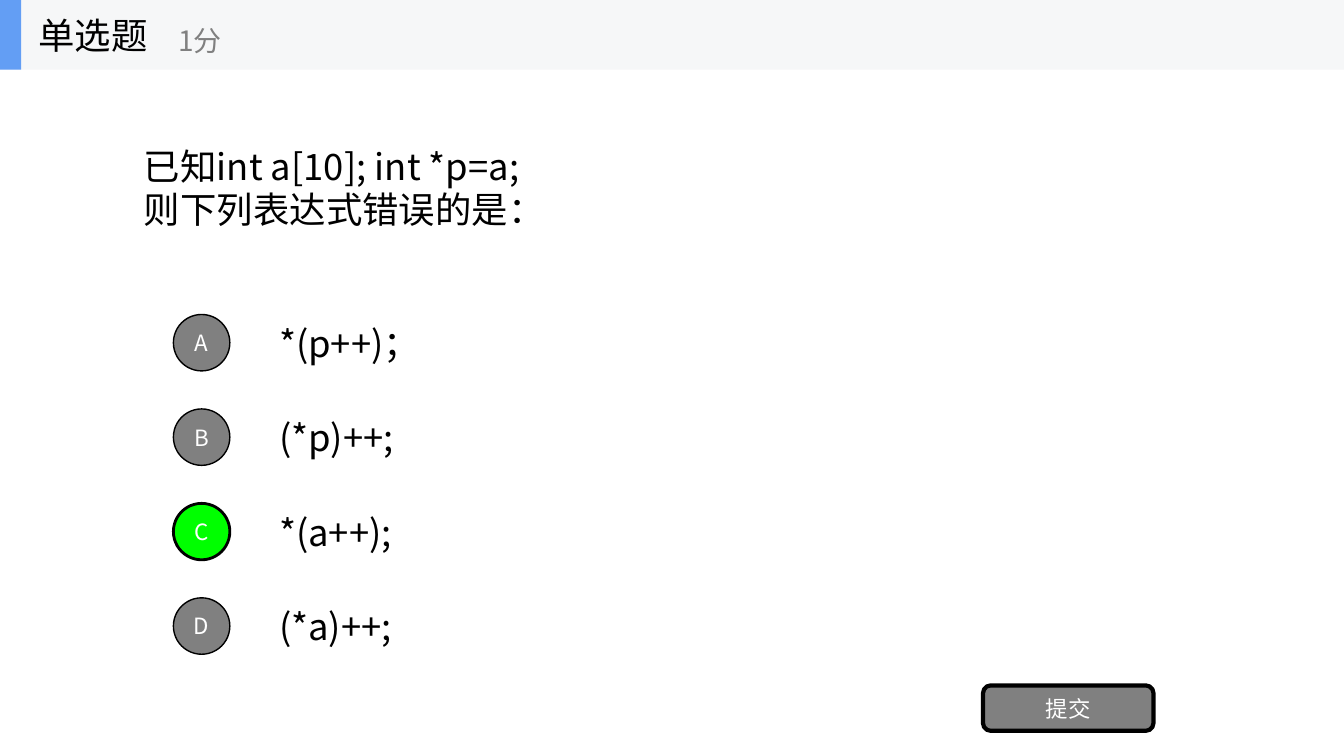
from dataclasses import dataclass

from lxml.etree import SubElement
from pptx import Presentation
from pptx.dml.color import RGBColor
from pptx.enum.shapes import MSO_SHAPE as Preset
from pptx.enum.text import MSO_ANCHOR as Anchor, PP_ALIGN as Align
from pptx.oxml.ns import qn
from pptx.util import Inches, Pt


@dataclass(frozen=True)
class Theme:
    """Colours, font and type sizes of the quiz slide."""

    font: str = "Noto Sans CJK SC"
    ink: str = "000000"
    grey: str = "808080"
    white: str = "FFFFFF"
    correct: str = "00FF00"
    band: str = "F6F7F8"
    accent: str = "639EF4"
    body: int = 26
    points: int = 20
    label: int = 16


THEME = Theme()
OPTIONS = [("A", "*(p++)；"), ("B", "(*p)++;"), ("C", "*(a++);"), ("D", "(*a)++;")]
ANSWER = "C"
FIRST_OPTION_TOP = 3.05
OPTION_STEP = 0.937


def write(shape, lines, size, color, align=Align.LEFT):
    """Fill a shape with vertically centred paragraphs in one style."""
    frame = shape.text_frame
    frame.word_wrap = True
    frame.vertical_anchor = Anchor.MIDDLE
    frame.text = "\n".join(lines)
    for para in frame.paragraphs:
        para.alignment = align
        para.font.size = Pt(size)
        para.font.name = THEME.font
        para.font.color.rgb = RGBColor.from_string(color)
        for span in para.runs:
            east_asian = SubElement(span.font._element, qn("a:ea"))
            east_asian.set("typeface", THEME.font)


def add_text(page, place, lines, size=THEME.body, color=THEME.ink):
    """Add a left-aligned text box."""
    box = page.shapes.add_textbox(*map(Inches, place))
    write(box, lines, size, color)


def add_block(page, preset, place, fill, line_width=0):
    """Add a flat filled shape, outlined when a line width is given."""
    block = page.shapes.add_shape(preset, *map(Inches, place))
    block.shadow.inherit = False
    block.fill.solid()
    block.fill.fore_color.rgb = RGBColor.from_string(fill)
    if line_width:
        block.line.color.rgb = RGBColor.from_string(THEME.ink)
        block.line.width = Pt(line_width)
    else:
        block.line.fill.background()
    return block


def add_button(page, preset, place, label, fill, line_width):
    """Add an outlined shape with a centred white label."""
    button = add_block(page, preset, place, fill, line_width)
    frame = button.text_frame
    frame.margin_left = frame.margin_right = 0
    frame.margin_top = frame.margin_bottom = 0
    write(button, [label], THEME.label, THEME.white, Align.CENTER)


def add_option(page, top, letter, answer):
    """Add an answer text with its lettered circle."""
    is_correct = letter == ANSWER
    add_text(page, (2.67, top, 9.33, 0.7), [answer])
    add_button(page, Preset.OVAL, (1.72, top + 0.07, 0.56, 0.56), letter,
               THEME.correct if is_correct else THEME.grey, 2 if is_correct else 1)


def add_header(page):
    """Add the header band, the slide title and the points."""
    add_block(page, Preset.RECTANGLE, (0, 0, 13.33, 0.69), THEME.band)
    add_block(page, Preset.RECTANGLE, (0, 0, 0.21, 0.69), THEME.accent)
    title = page.shapes.title
    title.left, title.top, title.width, title.height = map(Inches, (0.28, 0, 2.08, 0.69))
    write(title, ["单选题"], THEME.body, THEME.ink)
    title.element.getparent().append(title.element)
    add_text(page, (1.67, 0.12, 2.5, 0.56), ["1分"], THEME.points, THEME.grey)


def main():
    """Build and save the quiz slide."""
    deck = Presentation()
    deck.slide_width, deck.slide_height = Inches(13.33), Inches(7.5)
    page = deck.slides.add_slide(deck.slide_layouts.get_by_name("Title Only"))
    add_header(page)
    add_text(page, (1.33, 0.69, 10.67, 2.34), ["已知int a[10]; int *p=a;", "则下列表达式错误的是："])
    for row, (letter, answer) in enumerate(OPTIONS):
        add_option(page, FIRST_OPTION_TOP + row * OPTION_STEP, letter, answer)
    add_button(page, Preset.ROUNDED_RECTANGLE, (9.75, 6.8, 1.69, 0.45), "提交", THEME.grey, 3)
    deck.save("out.pptx")


if __name__ == "__main__":
    main()
